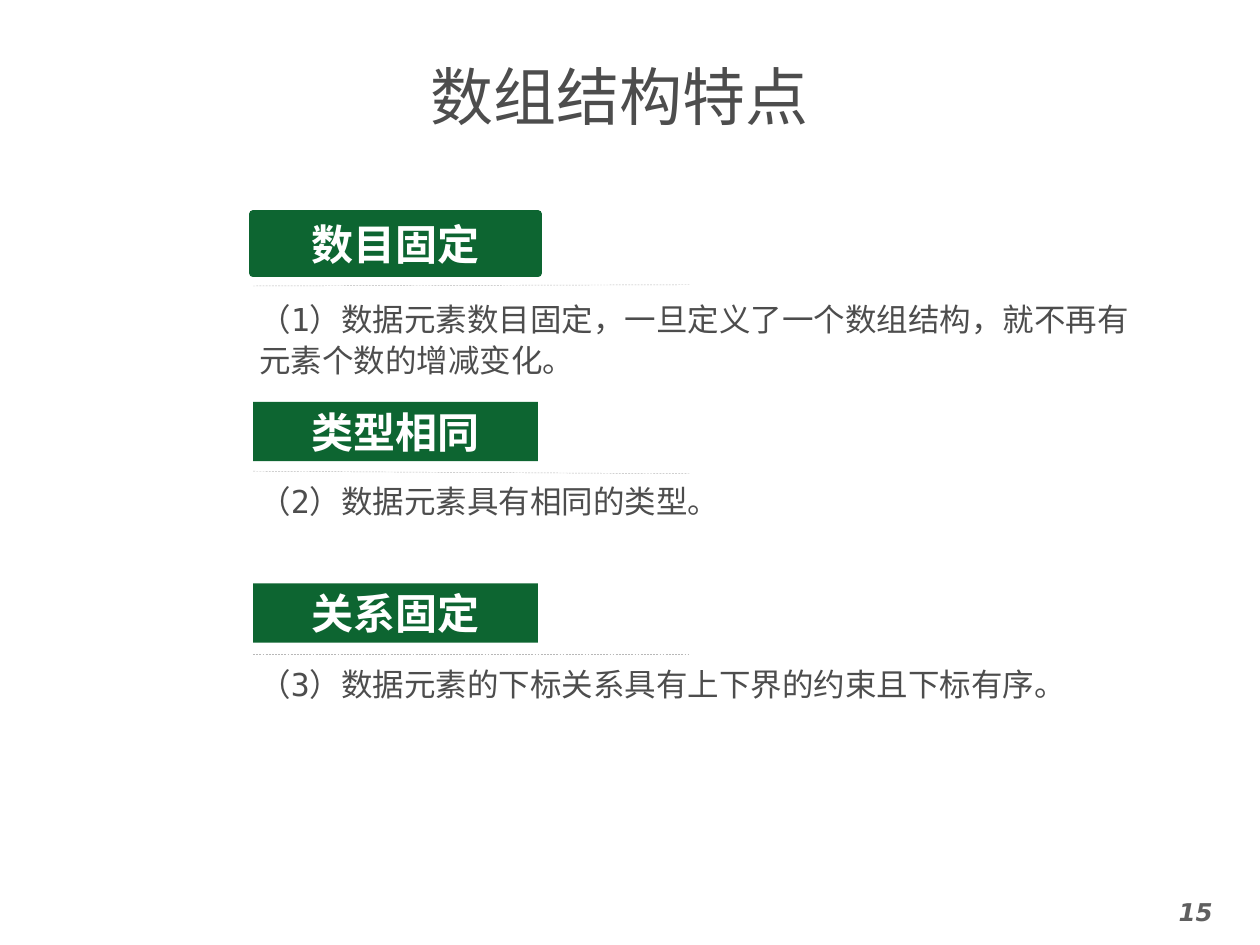
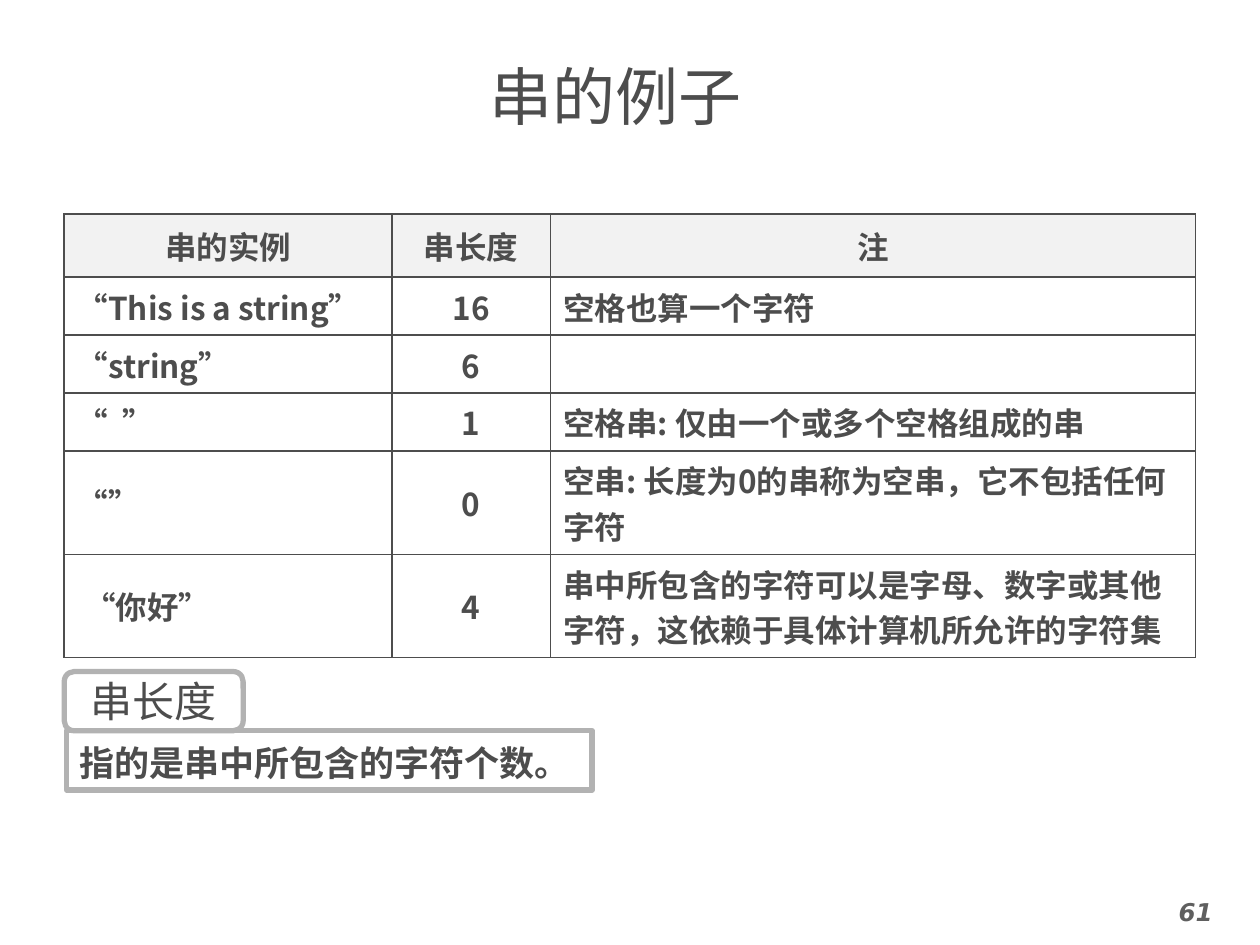
from lxml import etree
from pptx import Presentation
from pptx.dml.color import RGBColor
from pptx.enum import dml, shapes, text
from pptx.oxml import ns
from pptx.util import Inches, Pt

INK = RGBColor(0x4D, 0x4D, 0x4D)
FOOTER_GRAY = RGBColor(0x5F, 0x5F, 0x5F)
GREEN = RGBColor(0x0D, 0x65, 0x31)
RULE_GRAY = RGBColor(0xB8, 0xB8, 0xB8)
FRAME_GRAY = RGBColor(0xB2, 0xB2, 0xB2)
HEADER_FILL = RGBColor(0xF2, 0xF2, 0xF2)
WHITE = RGBColor(0xFF, 0xFF, 0xFF)

MONO = "DejaVu Sans Mono"
SANS = "DejaVu Sans"
CJK = "Noto Sans CJK SC"

LEFT, CENTER = text.PP_ALIGN.LEFT, text.PP_ALIGN.CENTER
TOP, MIDDLE = text.MSO_ANCHOR.TOP, text.MSO_ANCHOR.MIDDLE


def write(frame, words, size=18, font=MONO, color=INK, bold=False, italic=False,
          align=LEFT, spacing=None, indent=0):
    """Fill the first paragraph of a text frame with one formatted run."""
    paragraph = frame.paragraphs[0]
    paragraph.alignment = align
    if spacing:
        paragraph.line_spacing = spacing
    if indent:
        paragraph._p.get_or_add_pPr().set("marL", str(Inches(indent)))
    run = paragraph.add_run()
    run.text = words
    run.font.size = Pt(size)
    run.font.name = font
    run.font.bold = bold
    run.font.italic = italic
    run.font.color.rgb = color
    east_asian = etree.SubElement(run._r.get_or_add_rPr(), ns.qn("a:ea"))
    east_asian.set("typeface", CJK)


def add_text(slide, box, words, anchor=TOP, **style):
    frame = slide.shapes.add_textbox(*map(Inches, box)).text_frame
    frame.word_wrap = True
    frame.vertical_anchor = anchor
    write(frame, words, **style)


def add_box(slide, box, words, fill, line=None, line_width=0, wrap=True, anchor=MIDDLE,
            preset=shapes.MSO_SHAPE.RECTANGLE, **style):
    shape = slide.shapes.add_shape(preset, *map(Inches, box))
    shape.shadow.inherit = False
    shape.fill.solid()
    shape.fill.fore_color.rgb = fill
    if line is None:
        shape.line.fill.background()
    else:
        shape.line.color.rgb = line
        shape.line.width = Pt(line_width)
    shape.text_frame.word_wrap = wrap
    shape.text_frame.vertical_anchor = anchor
    write(shape.text_frame, words, **style)


def add_dashed_rule(slide, x, y, width, rise):
    rule = slide.shapes.add_connector(
        shapes.MSO_CONNECTOR.STRAIGHT,
        *map(Inches, (x, y, x + width, y + rise)))
    rule.line.color.rgb = RULE_GRAY
    rule.line.width = Pt(0.25)
    rule.line.dash_style = dml.MSO_LINE.DASH
    etree.SubElement(rule._element.spPr, ns.qn("a:effectLst"))


def add_base_slide(presentation, title, title_box, number):
    """Add a blank slide with the shared title and page number."""
    slide = presentation.slides.add_slide(presentation.slide_layouts[6])
    add_text(slide, title_box, title, anchor=MIDDLE, size=36, align=CENTER)
    add_text(slide, (8.98, 7.07, 1.02, 0.43), number, size=14, font=SANS,
             color=FOOTER_GRAY, bold=True, italic=True, align=CENTER)
    return slide


def add_feature(slide, x, y, label, detail, detail_width=6.8, rule_offset=0.56,
                rule_rise=0, detail_offset=0.6, outline=None, spacing=None):
    """Place a green label, a dashed rule and an explanation below (x, y)."""
    add_dashed_rule(slide, x, y + rule_offset, 3.47, rule_rise)
    add_box(slide, (x, y, 2.26, 0.47), label, GREEN, line=outline, line_width=4.5,
            size=24, color=WHITE, bold=True, align=CENTER)
    add_text(slide, (x - 0.05, y + detail_offset, detail_width, 0.75), detail,
             spacing=spacing)


def build_array_features(presentation):
    slide = add_base_slide(presentation, "数组结构特点", (0.58, 0.41, 8.67, 0.7), "15")
    x = 2.01
    add_feature(slide, x, 1.7, "数目固定",
                "（1）数据元素数目固定，一旦定义了一个数组结构，就不再有元素个数的增减变化。",
                detail_width=7.15, rule_offset=0.57, rule_rise=-0.01,
                outline=GREEN, spacing=1.1)
    add_feature(slide, x, 3.19, "类型相同", "（2）数据元素具有相同的类型。",
                rule_offset=0.55, rule_rise=0.02, detail_offset=0.59)
    add_feature(slide, x, 4.63, "关系固定",
                "（3）数据元素的下标关系具有上下界的约束且下标有序。")


def add_cell_borders(cell):
    properties = cell._tc.get_or_add_tcPr()
    for side in ("lnL", "lnR", "lnT", "lnB"):
        border = etree.SubElement(properties, ns.qn(f"a:{side}"), w=str(Pt(1)))
        fill = etree.SubElement(border, ns.qn("a:solidFill"))
        etree.SubElement(fill, ns.qn("a:srgbClr"), val=str(INK))


def add_string_table(slide, x, y):
    column_widths = (2.6, 1.26, 5.12)
    row_heights = (0.5, 0.46, 0.46, 0.46, 0.82, 0.82)
    rows = (
        ("串的实例", "串长度", "注"),
        ("“This is a string”", "16", "空格也算一个字符"),
        ("“string”", "6", ""),
        ("“  ”", "1", "空格串: 仅由一个或多个空格组成的串"),
        ("“”", "0", "空串: 长度为0的串称为空串，它不包括任何字符"),
        ("“你好”", "4",
         "串中所包含的字符可以是字母、数字或其他字符，这依赖于具体计算机所允许的字符集"),
    )
    table = slide.shapes.add_table(
        len(rows), len(column_widths),
        *map(Inches, (x, y, sum(column_widths), sum(row_heights)))).table
    table.horz_banding = False
    for column, width in zip(table.columns, column_widths):
        column.width = Inches(width)
    for row, height in zip(table.rows, row_heights):
        row.height = Inches(height)
    for r, row in enumerate(rows):
        for c, words in enumerate(row):
            cell = table.cell(r, c)
            add_cell_borders(cell)
            cell.fill.solid()
            cell.fill.fore_color.rgb = WHITE if r else HEADER_FILL
            cell.vertical_anchor = MIDDLE
            if words:
                write(cell.text_frame, words, font=CJK, bold=True,
                      align=CENTER if r == 0 or c == 1 else LEFT,
                      indent=0.06 if words == "“你好”" else 0)


def add_definition(slide, x, y):
    """Place a framed definition with its term on a tab above it."""
    frame = dict(fill=WHITE, line=FRAME_GRAY, line_width=3)
    add_box(slide, (x + 0.02, y + 0.47, 4.17, 0.47), "指的是串中所包含的字符个数。",
            anchor=TOP, size=20, font="Arial", bold=True, spacing=1.1, **frame)
    add_box(slide, (x, y, 1.42, 0.47), "串长度", wrap=False,
            preset=shapes.MSO_SHAPE.ROUNDED_RECTANGLE,
            size=24, font="Courier New", align=CENTER, **frame)


def build_string_examples(presentation):
    slide = add_base_slide(presentation, "串的例子", (1.3, 0.4, 7.17, 0.71), "61")
    add_string_table(slide, 0.51, 1.7)
    add_definition(slide, 0.51, 5.33)


def main():
    presentation = Presentation()
    presentation.slide_width = Inches(10)
    presentation.slide_height = Inches(7.5)
    build_array_features(presentation)
    build_string_examples(presentation)
    presentation.save("out.pptx")


if __name__ == "__main__":
    main()
